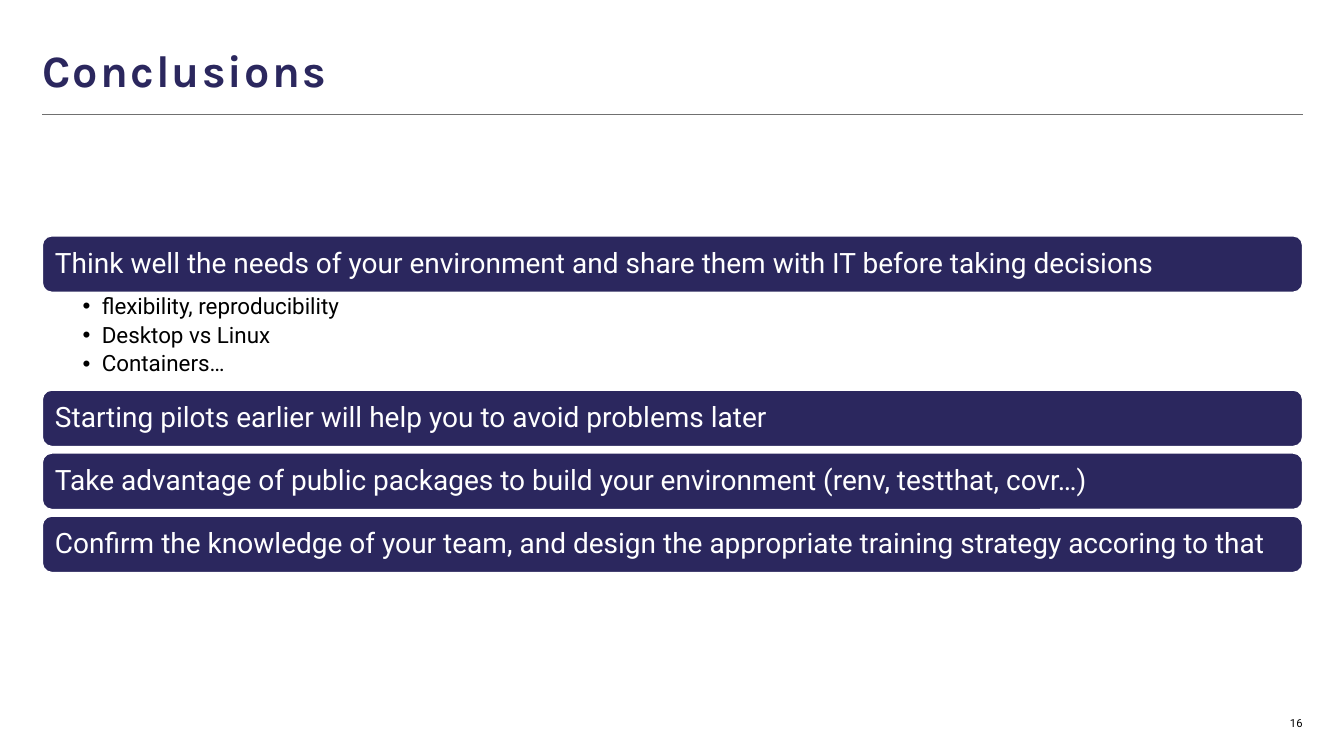
from lxml.etree import SubElement
from pptx import Presentation
from pptx.dml.color import RGBColor
from pptx.enum.shapes import MSO_CONNECTOR as Line, MSO_SHAPE as Shape
from pptx.enum.text import MSO_ANCHOR as Anchor, MSO_AUTO_SIZE as Fit, PP_ALIGN as Align
from pptx.oxml.ns import qn
from pptx.util import Inches, Pt

NAVY = RGBColor(0x2B, 0x27, 0x5E)
GREY = RGBColor(0x70, 0x70, 0x70)
BLACK = RGBColor(0, 0, 0)
WHITE = RGBColor(255, 255, 255)

LEFT, WIDE = 0.42, 12.5
BAR, STEP = 0.56, 0.625
LIST = 0.97

NEEDS = "Think well the needs of your environment and share them with IT before taking decisions"
POINTS = ["flexibility, reproducibility", "Desktop vs Linux", "Containers…"]
ADVICE = [
    "Starting pilots earlier will help you to avoid problems later",
    "Take advantage of public packages to build your environment (renv, testthat, covr…)",
    "Confirm the knowledge of your team, and design the appropriate training strategy accoring to that",
]


def place(shape, x, y, w, h):
    shape.left, shape.top = Inches(x), Inches(y)
    shape.width, shape.height = Inches(w), Inches(h)


def write(shape, *lines, size=20, color=BLACK, font="Roboto", bold=False, align=Align.LEFT,
          anchor=Anchor.MIDDLE, pad=(0, 0, 0, 0), wrap=True, lead=0.9, after=0,
          track=0, bullet=None, indent=0):
    """Fill a shape, one paragraph per line; pad is left, top, right, bottom."""
    frame = shape.text_frame
    frame.auto_size, frame.word_wrap, frame.vertical_anchor = Fit.NONE, wrap, anchor
    (frame.margin_left, frame.margin_top,
     frame.margin_right, frame.margin_bottom) = map(Inches, pad)
    for i, line in enumerate(lines):
        para = frame.add_paragraph() if i else frame.paragraphs[0]
        para.alignment, para.line_spacing = align, lead
        para.space_before, para.space_after = Pt(0), Pt(after)
        if bullet:
            para.level = 1
            props = para._p.get_or_add_pPr()
            props.set("marL", str(Inches(indent)))
            props.set("indent", str(-Inches(indent)))
            SubElement(props, qn("a:buFont"), typeface="Arial")
            SubElement(props, qn("a:buChar"), char=bullet)
        run = para.add_run()
        run.text = line
        run.font.name, run.font.size, run.font.bold = font, Pt(size), bold
        run.font.color.rgb = color
        if track:
            run.font._element.set("spc", str(int(track * 100)))


def head(slide, x, y, w):
    title = slide.shapes.title
    place(title, x, y, w, 0.48)
    write(title, "Conclusions", size=32, color=NAVY, font="Karla", bold=True,
          anchor=Anchor.TOP, track=1.5)
    rule = slide.shapes.add_connector(Line.STRAIGHT, Inches(x), Inches(y + 0.65),
                                      Inches(x + w), Inches(y + 0.65))
    rule.line.color.rgb, rule.line.width = GREY, Pt(0.5)
    SubElement(rule._element.spPr, qn("a:effectLst"))


def bar(slide, text, x, y, w):
    box = slide.shapes.add_shape(Shape.ROUNDED_RECTANGLE, Inches(x), Inches(y),
                                 Inches(w), Inches(BAR))
    box.shadow.inherit = False
    box.fill.solid()
    box.fill.fore_color.rgb = NAVY
    box.line.color.rgb, box.line.width = WHITE, Pt(1)
    write(box, text, color=WHITE, pad=(0.1, 0.1, 0.1, 0.1), after=7)


def points(slide, x, y, w):
    body = slide.placeholders[1]
    place(body, x, y, w, LIST)
    write(body, *POINTS, size=16, anchor=Anchor.TOP, pad=(0.4, 0.03, 0.16, 0.03),
          after=3.2, bullet="•", indent=0.19)


def advice(slide, x, y, w):
    bar(slide, NEEDS, x, y, w)
    points(slide, x, y + BAR, w)
    for i, text in enumerate(ADVICE):
        bar(slide, text, x, y + BAR + LIST + i * STEP, w)


def number(slide, x, y):
    box = slide.shapes.add_textbox(Inches(x), Inches(y), Inches(0.14), Inches(0.13))
    write(box, "16", size=8, align=Align.RIGHT, wrap=False, lead=1.0, after=6)


def main():
    deck = Presentation()
    deck.slide_width, deck.slide_height = Inches(13.33), Inches(7.5)
    slide = deck.slides.add_slide(deck.slide_layouts[1])
    head(slide, LEFT, 0.48, WIDE)
    advice(slide, LEFT, 2.34, WIDE)
    number(slide, LEFT + WIDE - 0.14, 7.11)
    deck.save("out.pptx")


if __name__ == "__main__":
    main()
